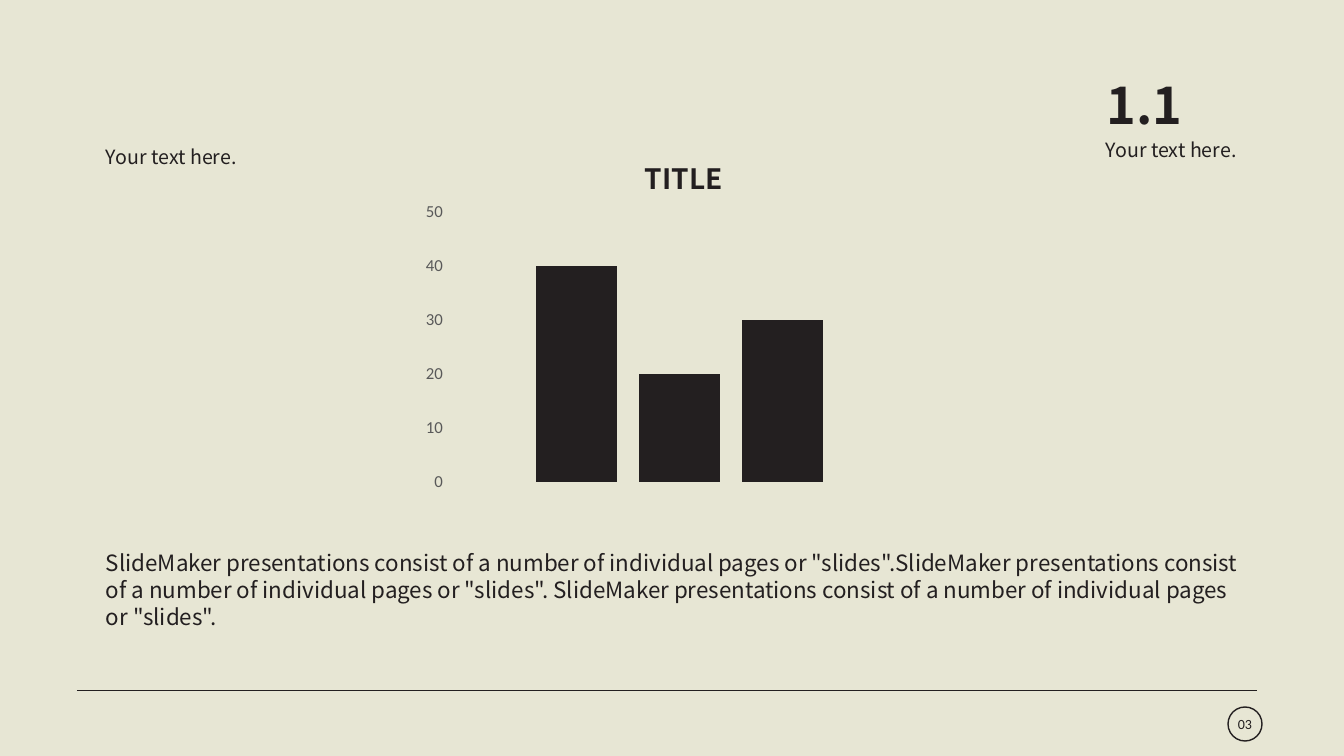
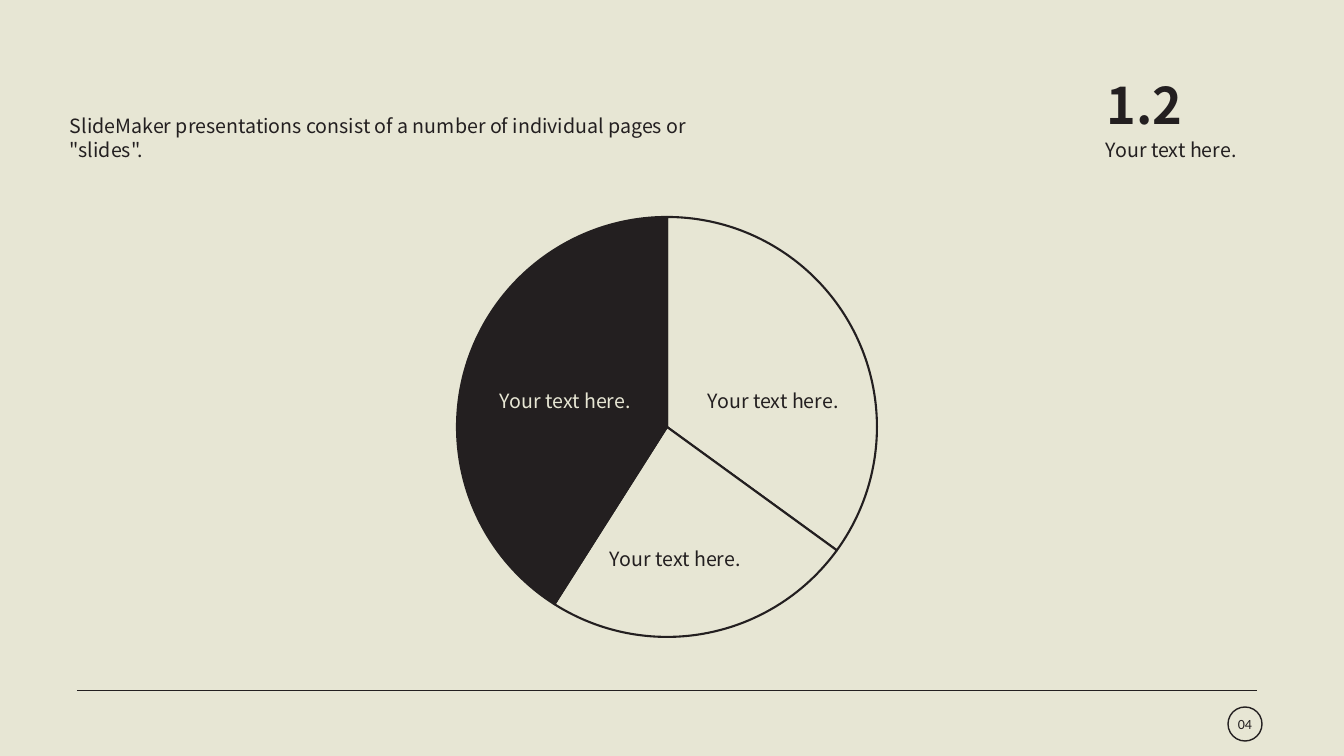
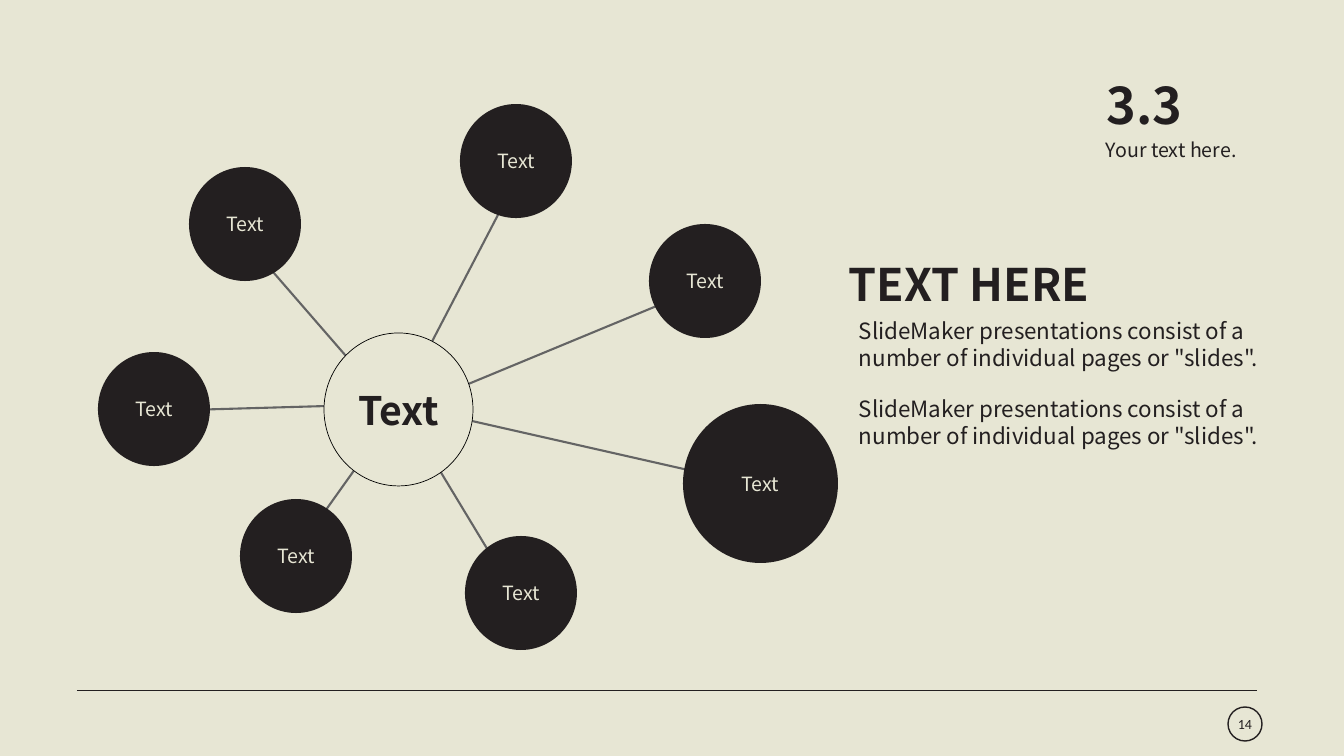
from lxml import etree
from pptx import Presentation
from pptx.chart.data import CategoryChartData
from pptx.dml.color import RGBColor
from pptx.enum.chart import XL_CHART_TYPE as Kind, XL_TICK_MARK as Tick
from pptx.enum.shapes import MSO_CONNECTOR as Link, MSO_SHAPE as Form
from pptx.enum.text import MSO_ANCHOR as Anchor, MSO_AUTO_SIZE as Fit, PP_ALIGN as Align
from pptx.oxml.ns import qn
from pptx.util import Emu, Pt

COLORS = {"paper": "E7E6D4", "ink": "231F20", "spoke": "646464",
          "black": "000000", "axis": "595959"}
SANS, PLAIN = "Noto Sans CJK SC", "Calibri"

HERE = "Your text here."
LINE = 'SlideMaker presentations consist of a number of individual pages or "slides".'

# box (left, top, width, height), text, size, bold, colour
BAR_TEXT = [
    ((96, 544, 1166, 92), LINE + LINE + " " + LINE, 16, False, "ink"),
    ((96, 140, 202, 34), HERE, 14, False, "ink"),
    ((635, 157, 202, 44), "TITLE", 20, True, "ink"),
]
PIE_TEXT = [
    ((60, 109, 659, 57), LINE, 14, False, "ink"),
    ((698, 384, 202, 34), HERE, 14, False, "ink"),
    ((600, 542, 202, 34), HERE, 14, False, "ink"),
    ((490, 384, 202, 34), HERE, 14, False, "paper"),
]
HUB_TEXT = [((849, top, 469, 64), LINE, 16, False, "ink") for top in (312, 390)]

BARS = [("Series 1", 40), ("Series 2", 20), ("Series 3", 30)]
SLICES = [(35, "paper"), (24, "paper"), (41, "ink")]

HUB = (324, 333, 149, 153)
SMALL, LARGE = (112, 114), (155, 159)
# left top corner, size, spoke start, spoke end
NODES = [
    ((460, 104), SMALL, (398, 407), (512, 188)),
    ((649, 224), SMALL, (408, 409), (734, 274)),
    ((683, 404), LARGE, (397, 404), (750, 484)),
    ((98, 352), SMALL, (397, 404), (188, 410)),
    ((465, 536), SMALL, (405, 413), (503, 575)),
    ((240, 499), SMALL, (395, 413), (296, 552)),
    ((189, 167), SMALL, (392, 409), (267, 265)),
]


def px(n):
    return Emu(round(n * 914400 / 100.8))


def place(box):
    return [px(n) for n in box]


def color(name):
    return RGBColor.from_string(COLORS[name])


def style(font, size, tint, face=SANS, bold=False):
    font.name, font.size, font.bold = face, Pt(size), bold
    font.color.rgb = color(tint)


def stroke(line, tint, width):
    line.color.rgb = color(tint)
    line.width = Pt(width)


def write(frame, text, *look):
    run = frame.paragraphs[0].add_run()
    run.text = text
    style(run.font, *look)


def label(slide, box, text, size, bold=False, tint="ink", face=SANS, wrap=True):
    frame = slide.shapes.add_textbox(*place(box)).text_frame
    frame.word_wrap = wrap
    frame.auto_size = Fit.SHAPE_TO_FIT_TEXT
    write(frame, text, size, tint, face, bold)


def rule(slide, start, end, tint, width):
    line = slide.shapes.add_connector(Link.STRAIGHT, *place(start + end))
    stroke(line.line, tint, width)
    etree.SubElement(line._element.spPr, qn("a:effectLst"))


def disc(slide, box, fill=None, edge=None, width=1):
    shape = slide.shapes.add_shape(Form.OVAL, *place(box))
    shape.shadow.inherit = False
    if fill:
        shape.fill.solid()
        shape.fill.fore_color.rgb = color(fill)
    else:
        shape.fill.background()
    if edge:
        stroke(shape.line, edge, width)
    else:
        shape.line.fill.background()
    return shape


def name(shape, size, tint, bold=False):
    """Centre the word inside a circle of the map."""
    frame = shape.text_frame
    frame.word_wrap = False
    frame.vertical_anchor = Anchor.MIDDLE
    frame.margin_left = frame.margin_right = px(5)
    frame.margin_top = frame.margin_bottom = px(5)
    frame.paragraphs[0].alignment = Align.CENTER
    write(frame, "Text", size, tint, SANS, bold)


def base(deck, mark, page):
    """Add a slide with the section mark, footer rule and page number."""
    slide = deck.slides.add_slide(deck.slide_layouts[6])
    slide.background.fill.solid()
    slide.background.fill.fore_color.rgb = color("paper")
    rule(slide, (77, 690), (1257, 690), "ink", 0.5)
    disc(slide, (1228, 707, 34, 34), edge="ink")
    label(slide, (1228, 711, 35, 27), page, 10, face=PLAIN, wrap=False)
    label(slide, (1097, 69, 200, 72), mark, 36, True)
    label(slide, (1096, 133, 202, 34), HERE, 14)
    return slide


def graph(slide, kind, box, data, inner):
    """Add a bare chart whose plot area fills the box inner."""
    chart = slide.shapes.add_chart(kind, *place(box), data).chart
    chart.has_legend = chart.has_title = False
    style(chart.font, 10, "black", PLAIN)
    area = chart._chartSpace.chart.plotArea
    for old in area.findall(qn("c:layout")):
        area.remove(old)
    layout = etree.Element(qn("c:layout"))
    area.insert(0, layout)
    manual = etree.SubElement(layout, qn("c:manualLayout"))
    left, top, wide, high = box
    parts = [("layoutTarget", "inner"), ("xMode", "edge"), ("yMode", "edge"),
             ("x", (inner[0] - left) / wide), ("y", (inner[1] - top) / high),
             ("w", inner[2] / wide), ("h", inner[3] / high)]
    for tag, val in parts:
        etree.SubElement(manual, qn("c:" + tag)).set("val", str(val))
    return chart


def bars(slide):
    data = CategoryChartData()
    data.categories = ["1"]
    for title, val in BARS:
        data.add_series(title, [val])
    chart = graph(slide, Kind.COLUMN_CLUSTERED, (415, 196, 506, 302), data,
                  (447, 212, 465, 270))
    plot = chart.plots[0]
    plot.vary_by_categories = False
    plot.gap_width, plot.overlap = 219, -27
    for series in plot.series:
        series.format.fill.solid()
        series.format.fill.fore_color.rgb = color("ink")
    chart.category_axis.visible = False
    axis = chart.value_axis
    axis.has_major_gridlines = False
    axis.major_tick_mark = axis.minor_tick_mark = Tick.NONE
    axis.minimum_scale, axis.maximum_scale, axis.major_unit = 0, 50, 10
    axis.format.line.fill.background()
    style(axis.tick_labels.font, 12, "axis", PLAIN)


def pie(slide):
    data = CategoryChartData()
    data.categories = ["1", "2", "3"]
    data.add_series("Series 1", [val for val, _ in SLICES])
    chart = graph(slide, Kind.PIE, (332, 204, 670, 447), data,
                  (457, 217, 420, 420))
    series = chart.plots[0].series[0]
    for i, (_, tint) in enumerate(SLICES):
        part = series.points[i].format
        part.fill.solid()
        part.fill.fore_color.rgb = color(tint)
        stroke(part.line, "ink", 1.5)


def web(slide):
    """Draw the hub, its spokes and the circles around it."""
    for _, _, start, end in NODES:
        rule(slide, start, end, "spoke", 1.5)
    for spot, size, _, _ in NODES:
        name(disc(slide, spot + size, "ink"), 14, "paper")
    name(disc(slide, HUB, "paper", "black", 0.5), 28, "ink", True)
    label(slide, (839, 252, 270, 64), "TEXT HERE", 32, True, wrap=False)


PAGES = [("1.1", "03", bars, BAR_TEXT), ("1.2", "04", pie, PIE_TEXT),
         ("3.3", "14", web, HUB_TEXT)]


def main():
    deck = Presentation()
    deck.slide_width, deck.slide_height = px(1344), px(756)
    for mark, page, draw, texts in PAGES:
        slide = base(deck, mark, page)
        draw(slide)
        for item in texts:
            label(slide, *item)
    deck.save("out.pptx")


if __name__ == "__main__":
    main()
